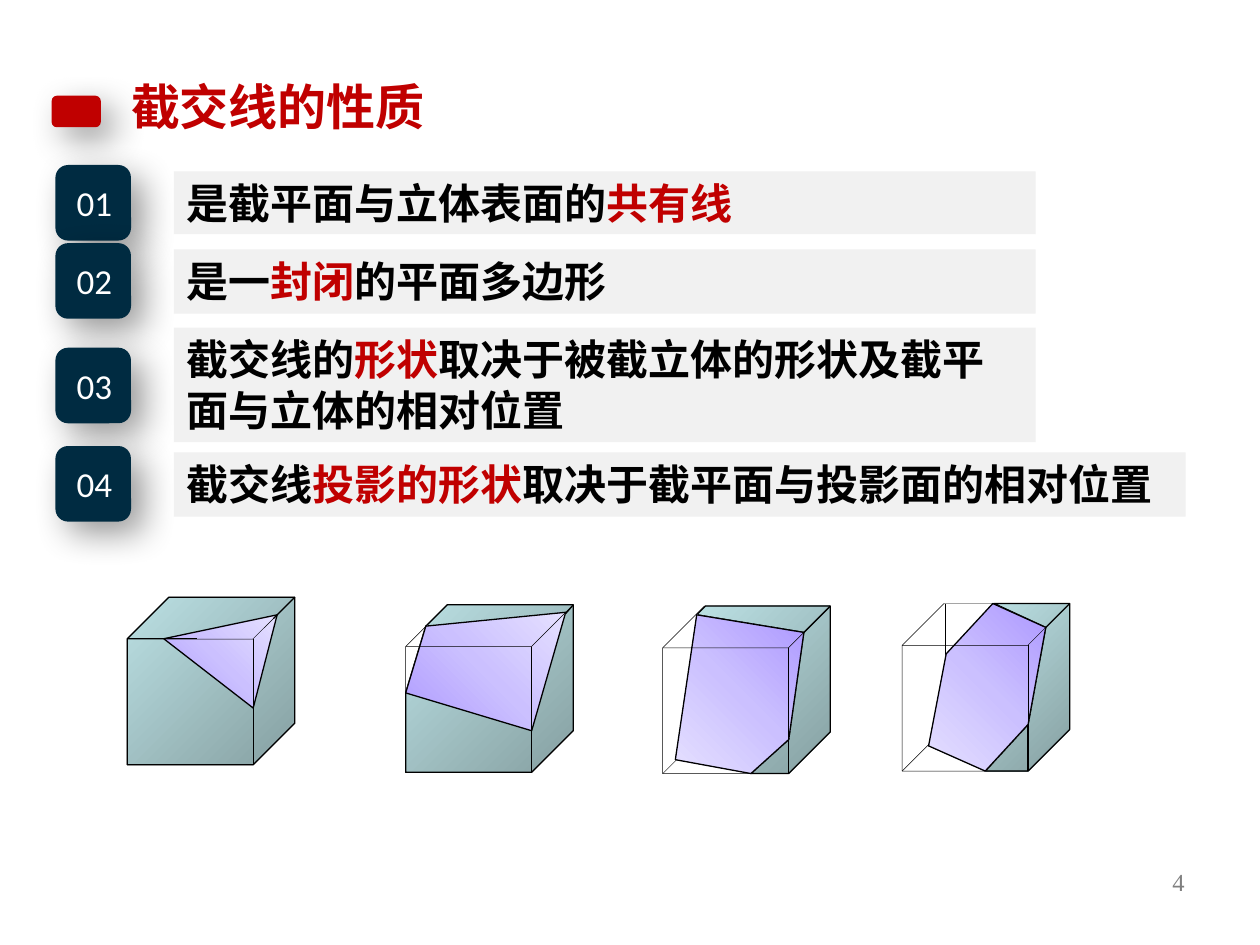
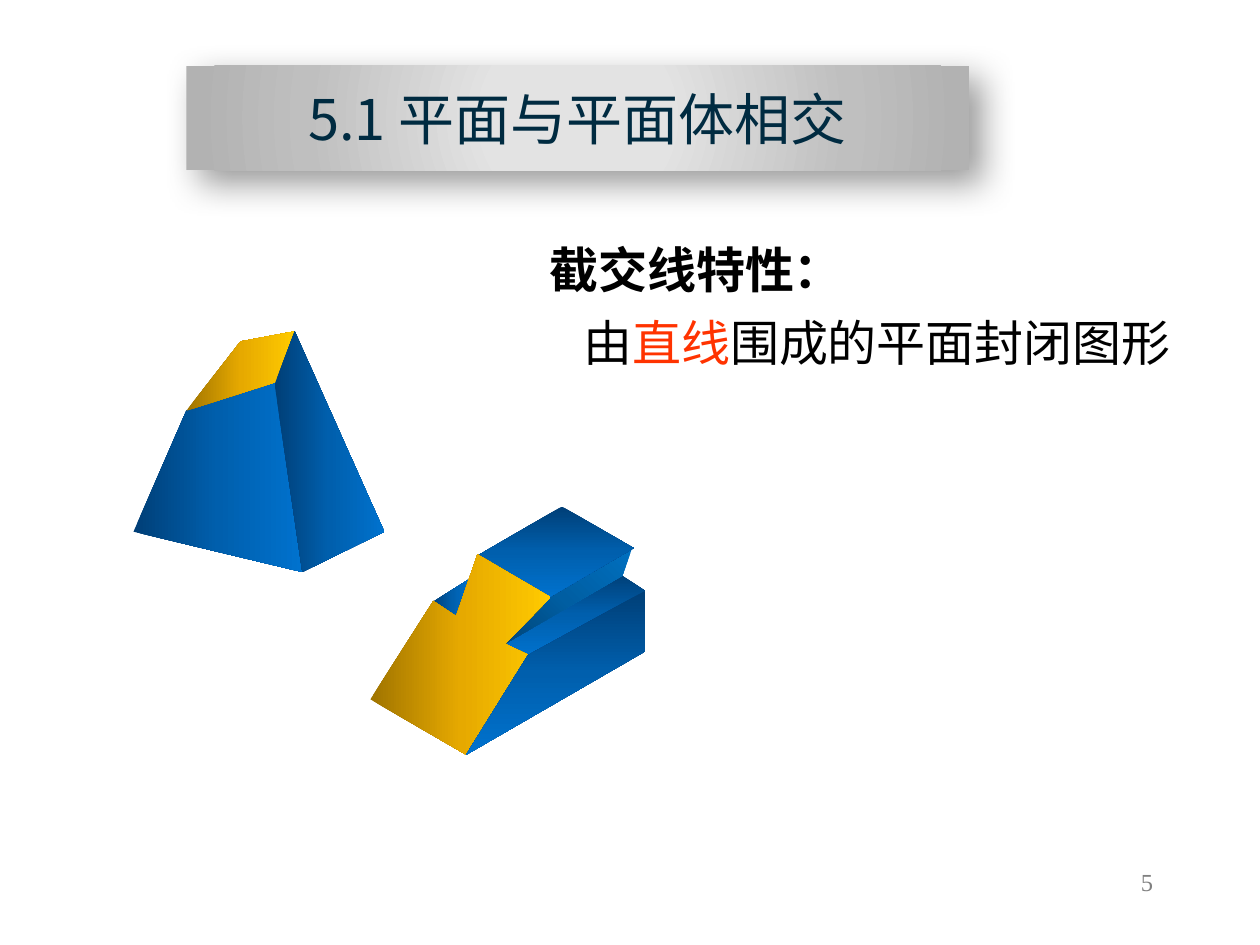
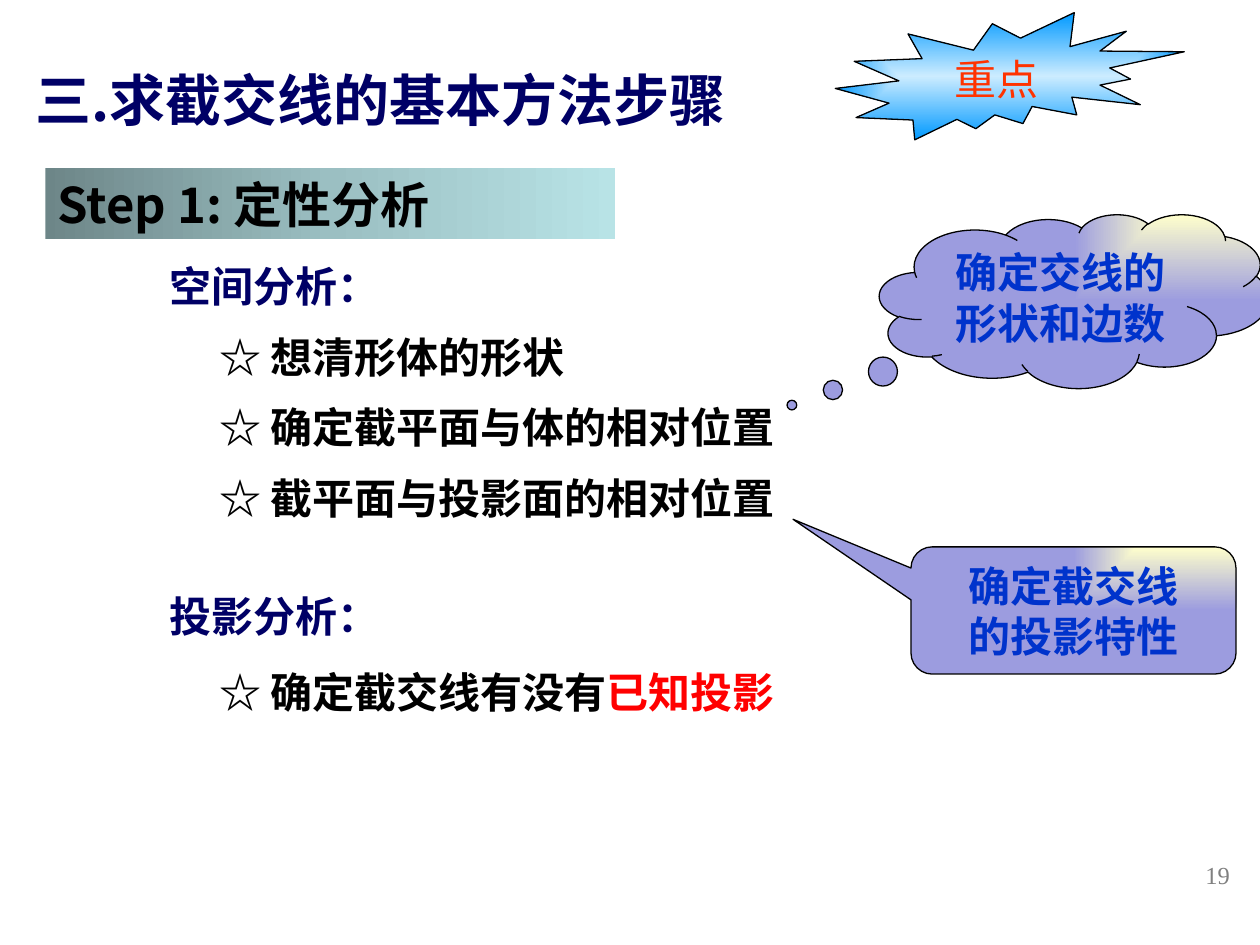
from lxml import etree
from pptx import Presentation
from pptx.dml.color import RGBColor
from pptx.enum.shapes import MSO_CONNECTOR, MSO_SHAPE
from pptx.enum.text import MSO_ANCHOR, MSO_AUTO_SIZE, PP_ALIGN
from pptx.oxml.ns import qn
from pptx.util import Inches, Pt

TOP, MIDDLE = MSO_ANCHOR.TOP, MSO_ANCHOR.MIDDLE
LEFT, CENTER, RIGHT = PP_ALIGN.LEFT, PP_ALIGN.CENTER, PP_ALIGN.RIGHT
RECT, ROUNDED = MSO_SHAPE.RECTANGLE, MSO_SHAPE.ROUNDED_RECTANGLE
TITLE_AND_BODY, TITLE_ONLY = 1, 5

CJK, SERIF, SANS = "Noto Sans CJK SC", "Times New Roman", "Calibri"
COLOURS = {
    "black": "000000", "white": "FFFFFF", "grey": "808080", "band": "F1F1F1",
    "crimson": "C00000", "red": "FF0000", "orange": "FF3300",
    "ink": "002B41", "navy": "000066", "blue": "0033CC",
}
# Each gradient: colour stops, then an angle or a path with its focus rectangle.
GRADIENTS = {
    "cube": ([(0, "BBE0E3"), (100, "86A0A2")], None),
    "section": ([(0, "AD98FF"), (50, "CBC0FF"), (100, "E5E0FF")], None),
    "blue": ([(0, "003F77"), (50, "005FAD"), (100, "0072CE")], None),
    "notch": ([(0, "004272"), (50, "005EA2"), (100, "0070C0")], ("circle", 0, 100, 100, 0)),
    "gold": ([(0, "A07400"), (50, "E6A900"), (100, "FFCA00")], None),
    "silver": ([(0, "E3E3E3"), (23, "E3E3E3"), (69, "BFBFBF"), (97, "B2B2B2")],
               ("circle", 50, 50, 50, 50)),
    "step": ([(0, "6D8688"), (50, "9BBFC2"), (100, "B8E3E6")], None),
    "burst": ([(0, "CCECFF"), (100, "0099FF")], ("shape", 50, 50, 50, 50)),
    "callout": ([(0, "FFFFCC"), (100, "9C9CDF")], ("rect", 100, 0, 0, 100)),
}

# Cut cubes: points are offsets from the top left corner of the frame.
CUBE_SIZE = 1.33
CUBES = [
    {"origin": (1.01, 4.74), "angle": 315,
     "solid": [(0, 1.33), (0, .33), (.33, 0), (1.33, 0), (1.33, 1), (1, 1.33)],
     "section": [(.29, .33), (1.19, .14), (1, .88)],
     "hidden": [],
     "edges": [((0, .33), (.55, .33)), ((1.33, 0), (1.16, .17)), ((1, 1.33), (1, .83))]},
    {"origin": (3.22, 4.8), "angle": 315,
     "solid": [(0, .7), (.16, .17), (.33, 0), (1.33, 0), (1.33, 1), (1, 1.33), (0, 1.33)],
     "section": [(0, .7), (.16, .17), (1.27, .06), (1, 1)],
     "hidden": [],
     "edges": [((1.33, 0), (1.27, .07)), ((1, 1.33), (1, 1))]},
    {"origin": (5.26, 4.81), "angle": 135,
     "solid": [(.27, .07), (.34, 0), (1.33, 0), (1.33, 1), (1, 1.33), (.7, 1.33),
               (1, 1.06), (1.12, .21)],
     "section": [(.27, .07), (1.12, .21), (1, 1.06), (.7, 1.33), (.1, 1.22)],
     "hidden": [((0, 1.33), (.19, 1.14))],
     "edges": [((1.33, 0), (1.12, .21)), ((1, 1.33), (1, 1.06))]},
    {"origin": (7.16, 4.79), "angle": 135,
     "solid": [(.73, 0), (1.33, 0), (1.33, 1), (1, 1.33), (.66, 1.33), (1, .96), (1.14, .19)],
     "section": [(.35, .4), (.72, 0), (1.14, .19), (1, .96), (.66, 1.33), (.21, 1.13)],
     "hidden": [((0, 1.33), (.53, .8)), ((.34, 0), (.34, .67))],
     "edges": [((1, 1.33), (1, .96)), ((1.33, 0), (1.14, .19))]},
]

# Faces of the two cut solids, back to front: gradient, angle, outline.
SOLID_FACES = [
    ("blue", 90, [(3.98, 5.11), (4.2, 5.21), (5.12, 4.69), (4.91, 4.55), (3.89, 5.12)]),
    ("notch", 0, [(4.35, 4.73), (3.92, 5.16), (4.94, 4.57), (5.02, 4.34)]),
    ("blue", 0, [(3.43, 4.78), (3.64, 4.93), (3.75, 4.58)]),
    ("blue", 90, [(3.79, 4.41), (4.36, 4.74), (5.03, 4.35), (4.46, 4.02)]),
    ("gold", 0, [(3.79, 4.4), (3.62, 4.89), (3.44, 4.77), (2.94, 5.55), (3.7, 5.99),
                 (4.2, 5.2), (4.01, 5.11), (4.37, 4.74)]),
    ("blue", 90, [(4.19, 5.2), (3.7, 5.99), (5.12, 5.17), (5.12, 4.69)]),
    ("blue", 0, [(1.06, 4.22), (2.4, 4.54), (2.34, 2.97), (1.48, 3.26)]),
    ("gold", 0, [(1.48, 3.26), (2.2, 3.03), (2.34, 2.63), (1.91, 2.71)]),
    ("blue", 0, [(2.18, 3.05), (2.4, 4.54), (3.05, 4.22), (2.34, 2.63)]),
]


def colour(name):
    return RGBColor.from_string(COLOURS[name])


def write(shape, text, size, ink="black", accent=None, bold=False, font=CJK,
          align=LEFT, anchor=TOP, wrap=True):
    """Fill a shape with lines of text; every second part between bars takes the accent."""
    frame = shape.text_frame
    frame.text = text.replace("|", "")
    frame.auto_size = MSO_AUTO_SIZE.NONE
    frame.word_wrap = wrap
    frame.vertical_anchor = anchor
    for para, line in zip(frame.paragraphs, text.split("\n")):
        para.alignment = align
        para.space_before = Pt(0)
        parts = line.split("|")
        para.runs[0].text = parts[0]
        for part in parts[1:]:
            para.add_run().text = part
        for index, span in enumerate(para.runs):
            span.font.size = Pt(size)
            span.font.bold = bold
            span.font.name = font
            span.font.color.rgb = colour(accent if index % 2 else ink)
            east_asian = etree.SubElement(span.font._element, qn("a:ea"))
            east_asian.set("typeface", CJK)


def place(shape, left, top, width, height):
    shape.left, shape.top = Inches(left), Inches(top)
    shape.width, shape.height = Inches(width), Inches(height)


def text_box(page, area, text, size, **style):
    box = page.shapes.add_textbox(*map(Inches, area))
    write(box, text, size, **style)
    return box


def paint_gradient(shape, name, angle=0):
    stops, focus = GRADIENTS[name]
    shape.fill.gradient()
    gradient = shape._element.spPr.find(qn("a:gradFill"))
    gradient.clear()
    stop_list = etree.SubElement(gradient, qn("a:gsLst"))
    for position, value in stops:
        stop = etree.SubElement(stop_list, qn("a:gs"), pos=str(position * 1000))
        etree.SubElement(stop, qn("a:srgbClr"), val=value)
    if focus is None:
        etree.SubElement(gradient, qn("a:lin"), ang=str(angle * 60000), scaled="0")
    else:
        kind, *sides = focus
        outline = etree.SubElement(gradient, qn("a:path"))
        outline.set("path", kind)
        edges = {side: str(share * 1000) for side, share in zip("ltrb", sides)}
        etree.SubElement(outline, qn("a:fillToRect"), **edges)


def cast_shadow(shape):
    shape.shadow.inherit = False
    effects = shape._element.spPr.find(qn("a:effectLst"))
    shadow = etree.SubElement(effects, qn("a:outerShdw"), blurRad=str(Pt(20)),
                              dist=str(Pt(10)), dir=str(45 * 60000), algn="tl",
                              rotWithShape="0")
    tint = etree.SubElement(shadow, qn("a:srgbClr"), val=COLOURS["black"])
    etree.SubElement(tint, qn("a:alpha"), val="40000")


def outline_shape(shape, weight):
    shape.shadow.inherit = False
    if weight:
        shape.line.color.rgb = colour("black")
        shape.line.width = Pt(weight)
    else:
        shape.line.fill.background()


def preset(page, kind, area, fill=None, gradient=None, weight=0, adjust=()):
    shape = page.shapes.add_shape(kind, *map(Inches, area))
    outline_shape(shape, weight)
    for index, value in enumerate(adjust):
        shape.adjustments[index] = value
    if gradient:
        paint_gradient(shape, gradient)
    elif fill:
        shape.fill.solid()
        shape.fill.fore_color.rgb = colour(fill)
    else:
        shape.fill.background()
    return shape


def polygon(page, points, gradient, angle=0, weight=0, origin=(0, 0)):
    corners = [(Inches(origin[0] + x), Inches(origin[1] + y)) for x, y in points]
    builder = page.shapes.build_freeform(*corners[0])
    builder.add_line_segments(corners[1:], close=True)
    face = builder.convert_to_shape()
    outline_shape(face, weight)
    paint_gradient(face, gradient, angle)


def segment(page, ends, weight, origin):
    (x1, y1), (x2, y2) = ends
    left, top = origin
    line = page.shapes.add_connector(MSO_CONNECTOR.STRAIGHT, Inches(left + x1), Inches(top + y1),
                                     Inches(left + x2), Inches(top + y2))
    line.line.color.rgb = colour("black")
    line.line.width = Pt(weight)
    etree.SubElement(line._element.spPr, qn("a:effectLst"))


def cut_cube(page, cube):
    origin = cube["origin"]
    for ends in cube["hidden"]:
        segment(page, ends, 0.25, origin)
    polygon(page, cube["solid"], "cube", 45, 0.75, origin)
    polygon(page, cube["section"], "section", cube["angle"], 0.75, origin)
    preset(page, MSO_SHAPE.CUBE, (*origin, CUBE_SIZE, CUBE_SIZE), weight=0.25, adjust=[0.25])
    for ends in cube["edges"]:
        segment(page, ends, 0.75, origin)


def numbered_band(page, number, top, band_top, width, height, text):
    badge = preset(page, ROUNDED, (0.44, top, 0.6, 0.6), fill="ink")
    cast_shadow(badge)
    text_box(page, (0.51, top + 0.08, 0.5, 0.44), f"{number:02}", 20, ink="white", font=SANS)
    band = preset(page, RECT, (1.38, band_top, width, height), fill="band")
    write(band, text, 24, accent="crimson", bold=True)


def start_page(deck, layout, number, number_right, number_top, title, title_area, **style):
    """Add a slide with its title and its page number."""
    page = deck.slides.add_slide(deck.slide_layouts[layout])
    place(page.shapes.title, *title_area)
    write(page.shapes.title, title, **style)
    text_box(page, (number_right - 2.08, number_top, 2.08, 0.5), str(number), 14,
             ink="grey", font=SERIF, align=RIGHT)
    return page


def properties_slide(deck):
    page = start_page(deck, TITLE_ONLY, 4, 9.5, 6.83, "截交线的性质", (0.94, 0.56, 3.29, 0.57),
                      size=28, ink="crimson", bold=True)
    for cube in CUBES:
        cut_cube(page, cube)
    cast_shadow(preset(page, ROUNDED, (0.41, 0.76, 0.39, 0.25), fill="crimson"))
    bands = [
        (1.31, 1.36, 6.84, 0.5, "是截平面与立体表面的|共有线"),
        (1.93, 1.98, 6.84, 0.51, "是一|封闭|的平面多边形"),
        (2.76, 2.6, 6.84, 0.91, "截交线的|形状|取决于被截立体的形状及截平面与立体的相对位置"),
        (3.54, 3.59, 8.03, 0.51, "截交线|投影的形状|取决于截平面与投影面的相对位置"),
    ]
    for number, band in enumerate(bands, start=1):
        numbered_band(page, number, *band)


def plane_solids_slide(deck):
    page = start_page(deck, TITLE_AND_BODY, 5, 9.25, 6.83, "5.1 平面与平面体相交",
                      (1.48, 0.52, 6.21, 0.83), size=32, ink="ink", align=CENTER, anchor=MIDDLE)
    paint_gradient(page.shapes.title, "silver")
    cast_shadow(page.shapes.title)
    for gradient, angle, points in SOLID_FACES:
        polygon(page, points, gradient, angle)

    body = page.placeholders[1]
    place(body, 4.26, 1.85, 5.44, 1.27)
    write(body, "截交线特性：\n由|直线|围成的平面封闭图形", 28, accent="orange", font=SERIF)
    heading, detail = body.text_frame.paragraphs
    heading.runs[0].font.bold = True
    detail.space_before = Pt(8)
    for para, margin in ((heading, 0), (detail, 0.27)):
        properties = para._p.get_or_add_pPr()
        properties.set("marL", str(Inches(margin)))
        properties.set("indent", "0")
        etree.SubElement(properties, qn("a:buNone"))


def method_slide(deck):
    page = start_page(deck, TITLE_ONLY, 19, 9.86, 6.78, "三.求截交线的基本方法步骤",
                      (0.18, 0.47, 6.85, 0.64), size=32, ink="navy", bold=True)
    step = preset(page, RECT, (0.36, 1.33, 4.52, 0.57), gradient="step")
    write(step, "Step 1: 定性分析", 28, bold=True, anchor=MIDDLE)
    burst = preset(page, MSO_SHAPE.EXPLOSION2, (6.63, 0.1, 2.77, 1.01),
                   gradient="burst", weight=0.75)
    write(burst, "重点", 24, ink="orange", font=SERIF, align=CENTER, anchor=MIDDLE)

    for top, heading in ((2.01, "空间分析："), (4.63, "投影分析：")):
        text_box(page, (1.23, top, 1.89, 0.51), heading, 24, ink="navy", bold=True,
                 align=CENTER, anchor=MIDDLE, wrap=False)
    points = [
        (2.58, "☆ 想清形体的形状"),
        (3.14, "☆ 确定截平面与体的相对位置"),
        (3.7, "☆ 截平面与投影面的相对位置"),
        (5.24, "☆ 确定截交线有没有|已知投影"),
    ]
    for top, point in points:
        text_box(page, (1.64, top, 5.9, 0.51), point, 24, accent="red", bold=True)

    callouts = [
        (MSO_SHAPE.ROUNDED_RECTANGULAR_CALLOUT, (7.23, 4.34, 2.58, 1.01),
         (-0.863, -0.717, 0.167), "确定截交线\n的投影特性"),
        (MSO_SHAPE.CLOUD_CALLOUT, (6.98, 1.7, 3.09, 1.38),
         (-0.725, 0.598), "确定交线的\n形状和边数"),
    ]
    for kind, area, adjust, text in callouts:
        callout = preset(page, kind, area, gradient="callout", weight=0.75, adjust=adjust)
        write(callout, text, 24, ink="blue", bold=True, align=CENTER, anchor=MIDDLE)


def main():
    deck = Presentation()
    deck.slide_width, deck.slide_height = Inches(10), Inches(7.5)
    properties_slide(deck)
    plane_solids_slide(deck)
    method_slide(deck)
    deck.save("out.pptx")


if __name__ == "__main__":
    main()
